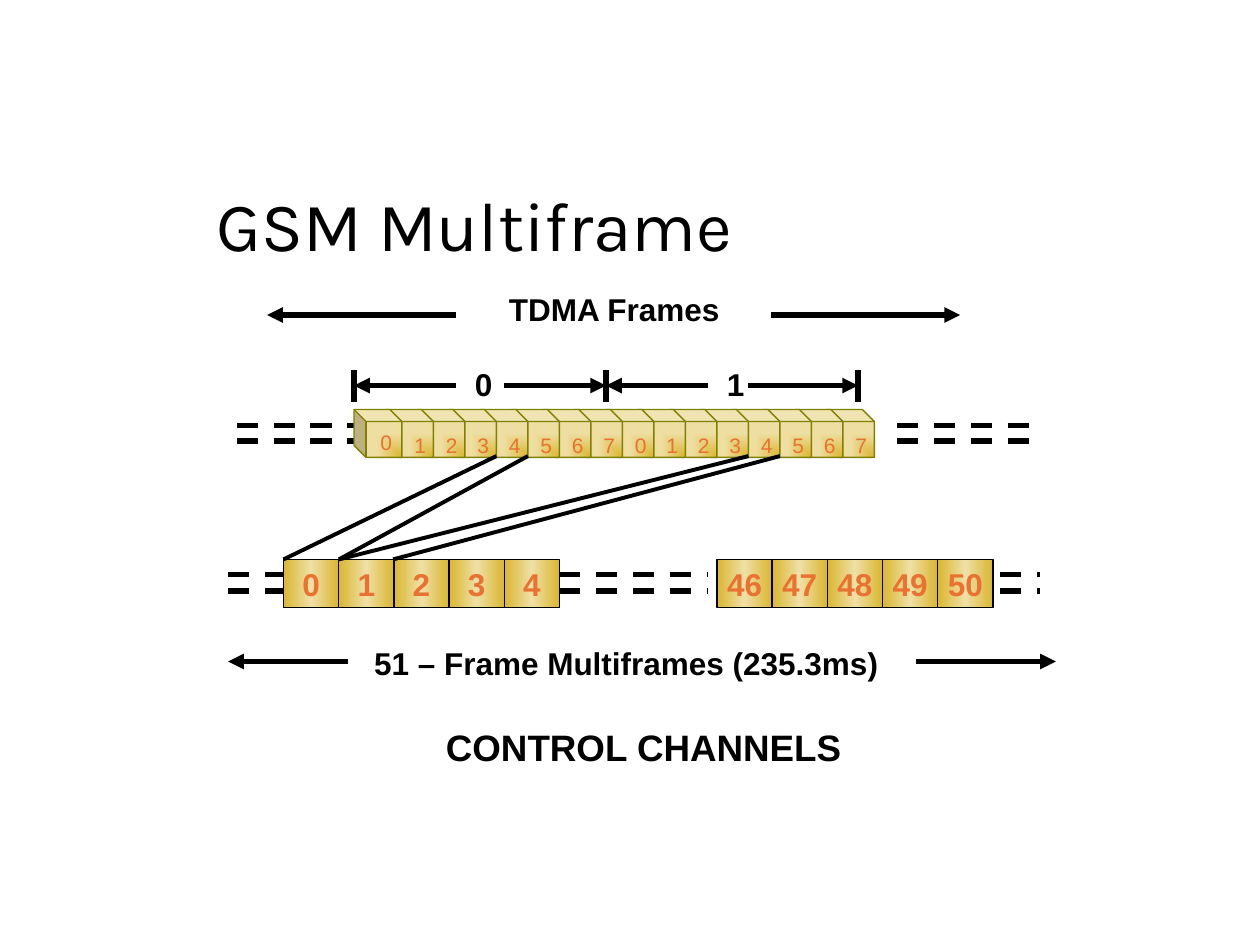
from dataclasses import dataclass

from lxml.etree import SubElement
from pptx import Presentation
from pptx.dml.color import RGBColor
from pptx.enum.dml import MSO_LINE
from pptx.enum.shapes import MSO_CONNECTOR, MSO_SHAPE
from pptx.enum.text import MSO_ANCHOR, MSO_AUTO_SIZE, PP_ALIGN
from pptx.oxml import parse_xml
from pptx.oxml.ns import nsdecls, qn
from pptx.util import Inches, Pt


@dataclass(frozen=True)
class Theme:
    ink = RGBColor(0x00, 0x00, 0x00)
    accent = RGBColor(0xE9, 0x71, 0x32)
    cube_edge = RGBColor(0x80, 0x80, 0x00)
    cube_stops = ((0, "DAB630"), (100, "EEDEA1"))
    cell_stops = ((0, "DAB630"), (50, "EFE0A6"), (100, "DAB630"))
    heavy_line = 3
    zoom_line = 2.25
    thin_line = 0.75
    title = {"name": "Karla", "size": Pt(39.6)}
    label = {"name": "Arial", "size": Pt(18), "bold": True}
    caption = {"name": "Arial", "size": Pt(21), "bold": True}
    slot = {"name": "Arial", "size": Pt(12)}


THEME = Theme()


@dataclass(frozen=True)
class Box:
    left: float
    top: float
    width: float
    height: float

    def lengths(self):
        return [Inches(v) for v in (self.left, self.top, self.width, self.height)]


def write_text(shape, text, style, color):
    paragraph = shape.text_frame.paragraphs[0]
    run = paragraph.add_run()
    run.text = text
    for name, value in style.items():
        setattr(run.font, name, value)
    run.font.color.rgb = color
    return paragraph


def add_text(slide, box, text, style, color=THEME.ink, wrap=False):
    shape = slide.shapes.add_textbox(*box.lengths())
    shape.text_frame.word_wrap = wrap
    shape.text_frame.auto_size = MSO_AUTO_SIZE.SHAPE_TO_FIT_TEXT
    return shape, write_text(shape, text, style, color)


def add_line(slide, start, end, width=THEME.heavy_line, dashed=False, arrow=False):
    ends = [Inches(value) for value in (*start, *end)]
    connector = slide.shapes.add_connector(MSO_CONNECTOR.STRAIGHT, *ends)
    connector.line.color.rgb = THEME.ink
    connector.line.width = Pt(width)
    if dashed:
        connector.line.dash_style = MSO_LINE.DASH
    properties = connector._element.spPr
    if arrow:
        SubElement(properties.find(qn("a:ln")), qn("a:tailEnd"), type="triangle")
    SubElement(properties, qn("a:effectLst"))


def add_gradient_shape(slide, kind, box, stops, direction, edge):
    shape = slide.shapes.add_shape(kind, *box.lengths())
    shape.shadow.inherit = False
    shape.line.color.rgb = edge
    shape.line.width = Pt(THEME.thin_line)
    stop_xml = "".join(
        f'<a:gs pos="{position * 1000}"><a:srgbClr val="{color}"/></a:gs>'
        for position, color in stops
    )
    gradient = parse_xml(
        f'<a:gradFill {nsdecls("a")} rotWithShape="1">'
        f"<a:gsLst>{stop_xml}</a:gsLst>{direction}</a:gradFill>"
    )
    shape._element.spPr.find(qn("a:prstGeom")).addnext(gradient)
    return shape


def add_cube(slide, box):
    direction = '<a:path path="rect"><a:fillToRect l="100000" t="100000"/></a:path>'
    cube = add_gradient_shape(
        slide, MSO_SHAPE.CUBE, box, THEME.cube_stops, direction, THEME.cube_edge
    )
    cube.adjustments[0] = 0.25
    cube._element.spPr.find(qn("a:xfrm")).set("flipH", "1")


def add_cell(slide, box, text):
    cell = add_gradient_shape(
        slide, MSO_SHAPE.RECTANGLE, box, THEME.cell_stops, '<a:lin ang="0"/>', THEME.ink
    )
    cell.text_frame.word_wrap = False
    cell.text_frame.vertical_anchor = MSO_ANCHOR.MIDDLE
    write_text(cell, text, THEME.label, THEME.accent).alignment = PP_ALIGN.CENTER


def add_dashes(slide, box, spans, offsets):
    for start, end in spans:
        for offset in offsets:
            y = box.top + offset
            add_line(slide, (box.left + start, y), (box.left + end, y), dashed=True)


def add_title(slide, box):
    shape, paragraph = add_text(slide, box, "GSM Multiframe", THEME.title, wrap=True)
    shape.text_frame.auto_size = MSO_AUTO_SIZE.NONE
    shape.text_frame.vertical_anchor = MSO_ANCHOR.MIDDLE
    paragraph.line_spacing = 0.9


def add_span(slide, box, text, label_left, label_width, arrow_y, arrows, wrap=False):
    """Label between two arrows that point out to the sides of the box."""
    y, right = box.top + arrow_y, box.left + box.width
    add_line(slide, (box.left + arrows[0], y), (box.left, y), arrow=True)
    add_line(slide, (right - arrows[1], y), (right, y), arrow=True)
    label_box = Box(box.left + label_left, box.top, label_width, box.height)
    add_text(slide, label_box, text, THEME.label, wrap=wrap)


def add_slot_row(slide, box):
    pitch, slots = 0.25, 8
    first = box.left + 0.93
    add_dashes(slide, box, ((0, 1.06), (5.24, box.width)), (0.44, 0.56))

    # Frame bounds and numbers
    for bound in range(3):
        x = first + bound * slots * pitch
        add_line(slide, (x, box.top), (x, box.top + 0.25))
    for frame, right_arrow in enumerate((0.81, 0.87)):
        span = Box(first + frame * slots * pitch, box.top - 0.09, slots * pitch, 0.4)
        add_span(slide, span, str(frame), 0.86, 0.34, 0.21, (0.81, right_arrow))

    # Time slots, the leftmost cube in front
    for index in reversed(range(2 * slots)):
        add_cube(slide, Box(first + index * pitch, box.top + 0.31, 0.38, 0.38))
    for index in range(2 * slots):
        nudge = 0.02 if index == 0 else 0
        slot_box = Box(first + 0.13 + index * pitch - nudge, box.top + 0.44 - nudge, 0.29, 0.3)
        add_text(slide, slot_box, str(index % slots), THEME.slot, THEME.accent)


def add_frame_row(slide, box):
    pitch = 2.19 / 5
    add_dashes(slide, box, ((0, 0.44), (2.63, 3.81), (6.13, box.width)), (0.12, 0.25))
    for group_left, first_number in ((0.44, 0), (3.88, 46)):
        for index in range(5):
            left = box.left + group_left + index * pitch
            add_cell(slide, Box(left, box.top, pitch, box.height), str(first_number + index))


def add_zoom_lines(slide, box):
    for bottom, top in ((0, 1.69), (0.44, 1.94), (0.44, 3.69), (0.87, box.width)):
        add_line(
            slide,
            (box.left + bottom, box.top + box.height),
            (box.left + top, box.top),
            width=THEME.zoom_line,
        )


def main():
    presentation = Presentation()
    presentation.slide_width, presentation.slide_height = Inches(10), Inches(7.5)
    slide = presentation.slides.add_slide(presentation.slide_layouts[6])

    add_title(slide, Box(1.62, 1.51, 6.81, 0.61))
    add_span(slide, Box(2.12, 2.25, 5.5, 0.4), "TDMA Frames", 1.82, 1.89, 0.25, (1.5, 1.5))
    add_slot_row(slide, Box(1.88, 2.94, 6.31, 0.69))
    add_frame_row(slide, Box(1.81, 4.44, 6.44, 0.38))
    add_zoom_lines(slide, Box(2.25, 3.62, 3.94, 0.82))
    add_span(
        slide, Box(1.81, 5.06, 6.57, 0.4), "51 – Frame Multiframes (235.3ms)",
        1.06, 4.55, 0.19, (0.95, 1.11), wrap=True,
    )
    add_text(slide, Box(3.44, 5.7, 3.38, 0.45), "CONTROL CHANNELS", THEME.caption, wrap=True)

    presentation.save("out.pptx")


if __name__ == "__main__":
    main()
